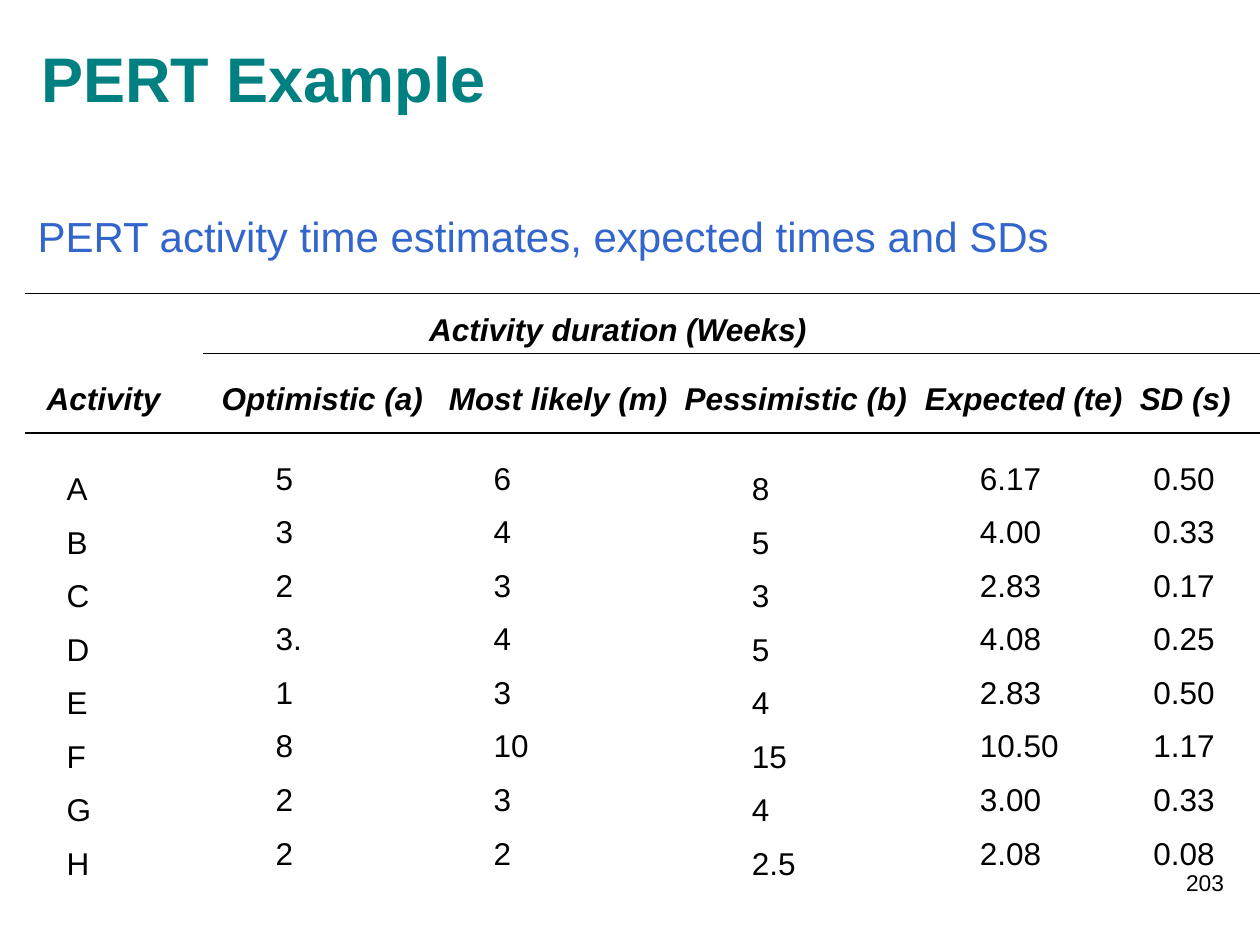
from lxml import etree
from pptx import Presentation
from pptx.dml.color import RGBColor
from pptx.enum import shapes, text
from pptx.oxml import ns
from pptx.util import Pt

COLORS = {"title": "008080", "subtitle": "3366CC", "ink": "000000", "page": "FFFFFF"}
FONT = "Arial"

# Column left edge, top edge relative to the table body, entries
COLUMNS = [
    (31, 6, ["A", "B", "C", "D", "E", "F", "G", "H"]),
    (150.4, 0, ["5", "3", "2", "3.", "1", "8", "2", "2"]),
    (275, 0, ["6", "4", "3", "4", "3", "10", "3", "2"]),
    (422.6, 6, ["8", "5", "3", "5", "4", "15", "4", "2.5"]),
    (552.8, 0, ["6.17", "4.00", "2.83", "4.08", "2.83", "10.50", "3.00", "2.08"]),
    (652, 0, ["0.50", "0.33", "0.17", "0.25", "0.50", "1.17", "0.33", "0.08"]),
]
HEADERS = ["Activity", "Optimistic (a)", "Most likely (m)", "Pessimistic (b)",
           "Expected (te)", "SD (s)"]
HEADER_TABS = [100, 229.8, 364.6, 501.8, 624.6]


def add_text(page, area, lines, size, color="ink", bold=False, italic=False,
             gap=0, align=text.PP_ALIGN.LEFT, anchor=text.MSO_ANCHOR.TOP):
    box = page.shapes.add_textbox(*map(Pt, area))
    frame = box.text_frame
    frame.word_wrap = True
    frame.vertical_anchor = anchor
    for index, line in enumerate(lines):
        para = frame.add_paragraph() if index else frame.paragraphs[0]
        para.alignment = align
        para.space_before = Pt(gap if index else 0)
        span = para.add_run()
        span.text = line
        font = span.font
        font.name, font.size, font.bold, font.italic = FONT, Pt(size), bold, italic
        font.color.rgb = RGBColor.from_string(COLORS[color])
    return box


def add_rule(page, left, right, top):
    rule = page.shapes.add_connector(
        shapes.MSO_CONNECTOR.STRAIGHT, Pt(left), Pt(top), Pt(right), Pt(top))
    rule.line.color.rgb = RGBColor.from_string(COLORS["ink"])
    rule.line.width = Pt(0.75)
    etree.SubElement(rule._element.spPr, ns.qn("a:effectLst"))


def set_tabs(para, stops):
    tabs = etree.SubElement(para._p.get_or_add_pPr(), ns.qn("a:tabLst"))
    for stop in stops:
        etree.SubElement(tabs, ns.qn("a:tab"), pos=str(Pt(stop)), algn="l")


def add_heading(page, left, top):
    add_text(page, (left + 2.2, top, 578, 67), ["PERT Example"], 36, "title",
             bold=True, anchor=text.MSO_ANCHOR.MIDDLE)
    add_text(page, (left, top + 106, 692, 40),
             ["PERT activity time estimates, expected times and SDs"], 24, "subtitle")


def add_table_header(page, left, top, right):
    for start, offset in ((left, 0), (left, 79.6), (left + 101.8, 34)):
        add_rule(page, start, right, top + offset)
    add_text(page, (left + 223.8, top + 5.6, 263.5, 28.8),
             ["Activity duration (Weeks)"], 18, bold=True, italic=True)
    labels = add_text(page, (left + 5.2, top + 45, right - left - 5.2, 28.8),
                      ["\t".join(HEADERS)], 18, bold=True, italic=True)
    set_tabs(labels.text_frame.paragraphs[0], HEADER_TABS)


def add_table_body(page, top):
    for left, drop, entries in COLUMNS:
        add_text(page, (left, top + drop, 67.7, 256.3), entries, 18, gap=9)


def add_page_number(page, left, top):
    add_text(page, (left, top, 149.8, 36), ["203"], 13, align=text.PP_ALIGN.RIGHT)


def main():
    deck = Presentation()
    deck.slide_width, deck.slide_height = Pt(720), Pt(540)
    page = deck.slides.add_slide(deck.slide_layouts[6])
    page.background.fill.solid()
    page.background.fill.fore_color.rgb = RGBColor.from_string(COLORS["page"])

    add_heading(page, 14.4, 10.5)
    add_table_header(page, 14.4, 167.9, 720)
    add_table_body(page, 258.5)
    # Kept just clear of the last table row
    add_page_number(page, 556.6, 493)
    deck.save("out.pptx")


if __name__ == "__main__":
    main()
